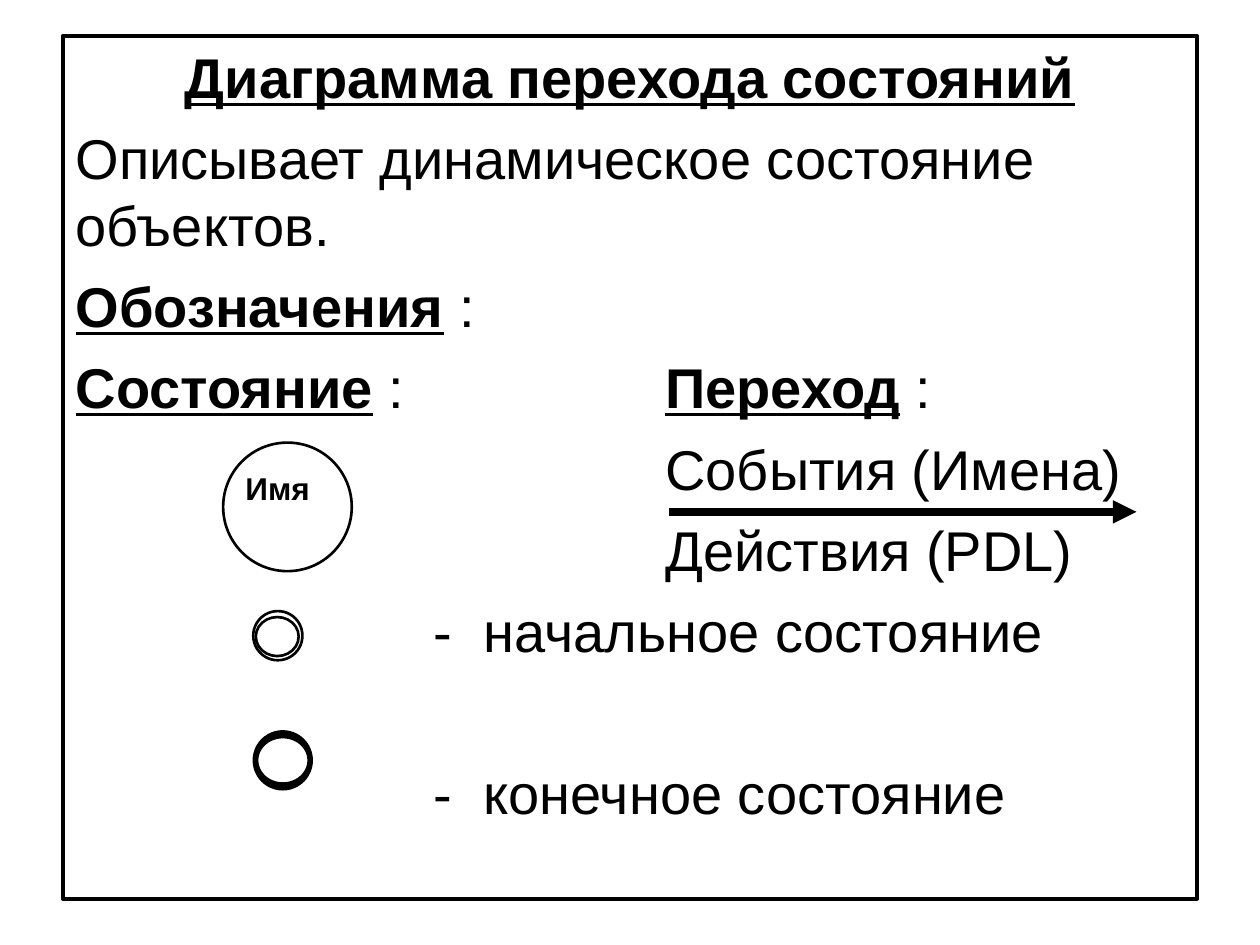
import pptx
import pptx.util
import pptx.dml.color
import pptx.enum.shapes
import pptx.enum.text
from lxml import etree

Pt = pptx.util.Pt
KIND = pptx.enum.shapes.MSO_SHAPE
ALIGN = pptx.enum.text.PP_ALIGN
BLACK, WHITE = "000000", "FFFFFF"
A = "{http://schemas.openxmlformats.org/drawingml/2006/main}"

# Content: (runs, format); a run is (text, marked as heading)
COL, DASH, HANG = 337, 233, 28.4
LINES = [
    ([("Диаграмма перехода состояний", True)], {"align": ALIGN.CENTER, "gap": 0}),
    ([("Описывает динамическое состояние объектов.", False)], {}),
    ([("Обозначения", True), (" :", False)], {}),
    ([("Состояние", True), (" :\t", False), ("Переход", True), (" :", False)],
     {"left": COL, "hang": COL}),
    ([("События (Имена)", False)], {"left": COL}),
    ([("Действия (PDL)", False)], {"left": COL}),
    ([("-\tначальное состояние", False)], {"left": DASH, "hang": HANG}),
    ([("-\tконечное состояние", False)], {"left": DASH, "hang": HANG, "gap": 54.4}),
]
NAME = "Имя"

# Ovals: (left, top, width, height, fill, line width)
STATE = (127.5, 252.9, 73.5, 73.5, None, 1.5)
FINAL = [(144.7, 417.6, 33.8, 33.8, BLACK, 0.75),
         (146.9, 421.2, 29.5, 26.6, WHITE, 1.5)]
START = [(144.7, 349.2, 28.1, 28.1, WHITE, 1.5),
         (146.2, 352.6, 24.5, 22.3, WHITE, 1.5)]


def color(hexa):
    return pptx.dml.color.RGBColor.from_string(hexa)


def style(item, **vals):
    for key, val in vals.items():
        setattr(item, key, val)


def font(run, size, **vals):
    style(run.font, name="Arial", size=Pt(size), **vals)
    run.font.color.rgb = color(BLACK)


def border(line, width):
    line.color.rgb = color(BLACK)
    line.width = Pt(width)


def oval(home, left, top, wide, high, fill, width):
    shape = home.add_shape(KIND.OVAL, Pt(left), Pt(top), Pt(wide), Pt(high))
    shape.shadow.inherit = False
    if fill:
        shape.fill.solid()
        shape.fill.fore_color.rgb = color(fill)
    else:
        shape.fill.background()
    border(shape.line, width)


def write(para, runs, form):
    left, hang = form.get("left", 0), form.get("hang", 0)
    props = para._p.get_or_add_pPr()
    props.set("marL", str(Pt(left)))
    props.set("indent", str(-Pt(hang)))
    etree.SubElement(props, A + "buNone")
    style(para, alignment=form.get("align", ALIGN.LEFT),
          space_before=Pt(form.get("gap", 8)), line_spacing=1.0)
    for text, head in runs:
        run = para.add_run()
        run.text = text
        font(run, 32, bold=head, underline=head)


deck = pptx.Presentation()
style(deck, slide_width=Pt(720), slide_height=Pt(540))
slide = deck.slides.add_slide(deck.slide_layouts[1])
shapes = slide.shapes

# Framed body text
title = shapes.title
title._element.getparent().remove(title._element)
body = slide.placeholders[1]
style(body, left=Pt(36), top=Pt(20.4), width=Pt(648), height=Pt(493.2))
border(body.line, 2.25)
frame = body.text_frame
style(frame, word_wrap=True, auto_size=pptx.enum.text.MSO_AUTO_SIZE.NONE,
      vertical_anchor=pptx.enum.text.MSO_ANCHOR.TOP, margin_left=Pt(7.2),
      margin_right=Pt(7.2), margin_top=Pt(3.6), margin_bottom=Pt(3.6))
for spot, (runs, form) in enumerate(LINES):
    write(frame.add_paragraph() if spot else frame.paragraphs[0], runs, form)

# State circle with its name
oval(shapes, *STATE)
label = shapes.add_textbox(Pt(121.9), Pt(264.4), Pt(73.5), Pt(28.8))
label.text_frame.word_wrap = True
para = label.text_frame.paragraphs[0]
para.alignment = ALIGN.CENTER
run = para.add_run()
run.text = NAME
font(run, 18, bold=True)

# Final and start signs
for rings in (FINAL, START):
    group = shapes.add_group_shape()
    for ring in rings:
        oval(group.shapes, *ring)

# Transition arrow
arrow = shapes.add_connector(pptx.enum.shapes.MSO_CONNECTOR.STRAIGHT,
                             Pt(382.4), Pt(292.5), Pt(649.4), Pt(292.5))
border(arrow.line, 4.5)
etree.SubElement(arrow.line._get_or_add_ln(), A + "tailEnd", type="triangle")
etree.SubElement(arrow._element.spPr, A + "effectLst")

deck.save("out.pptx")
